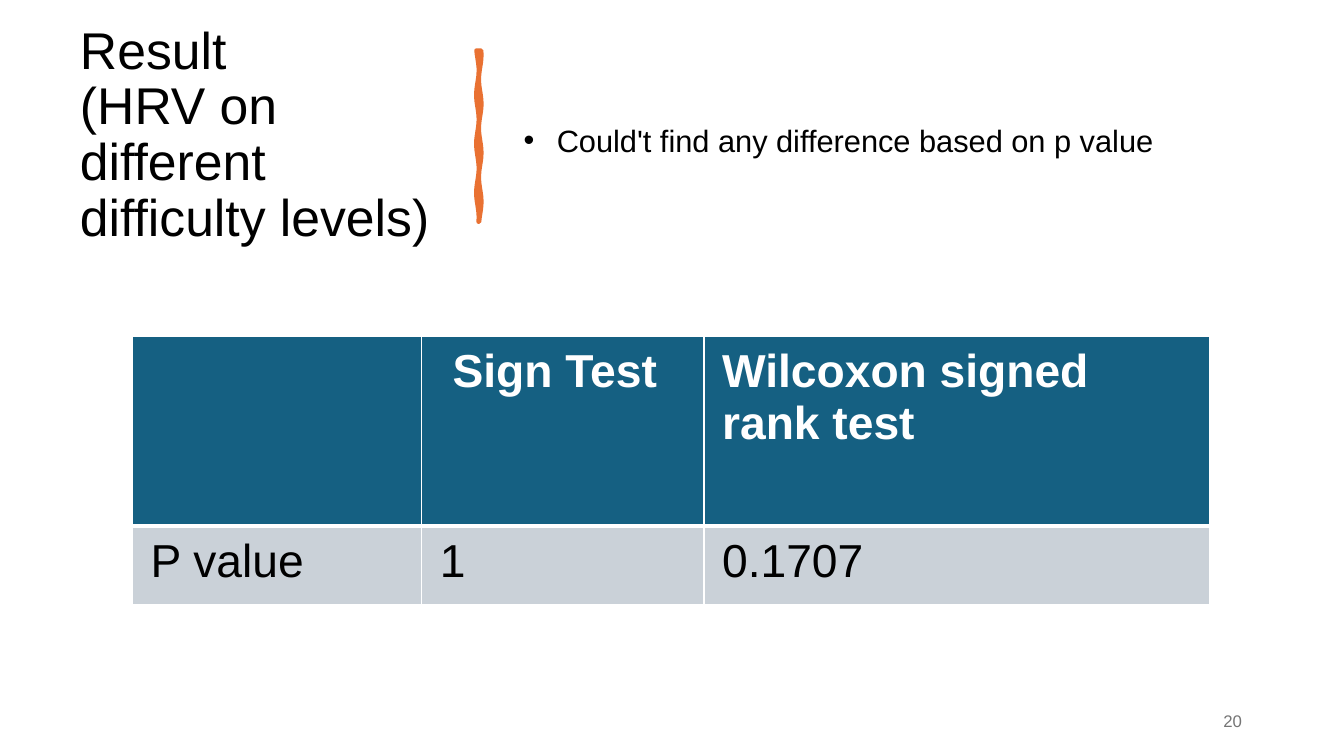
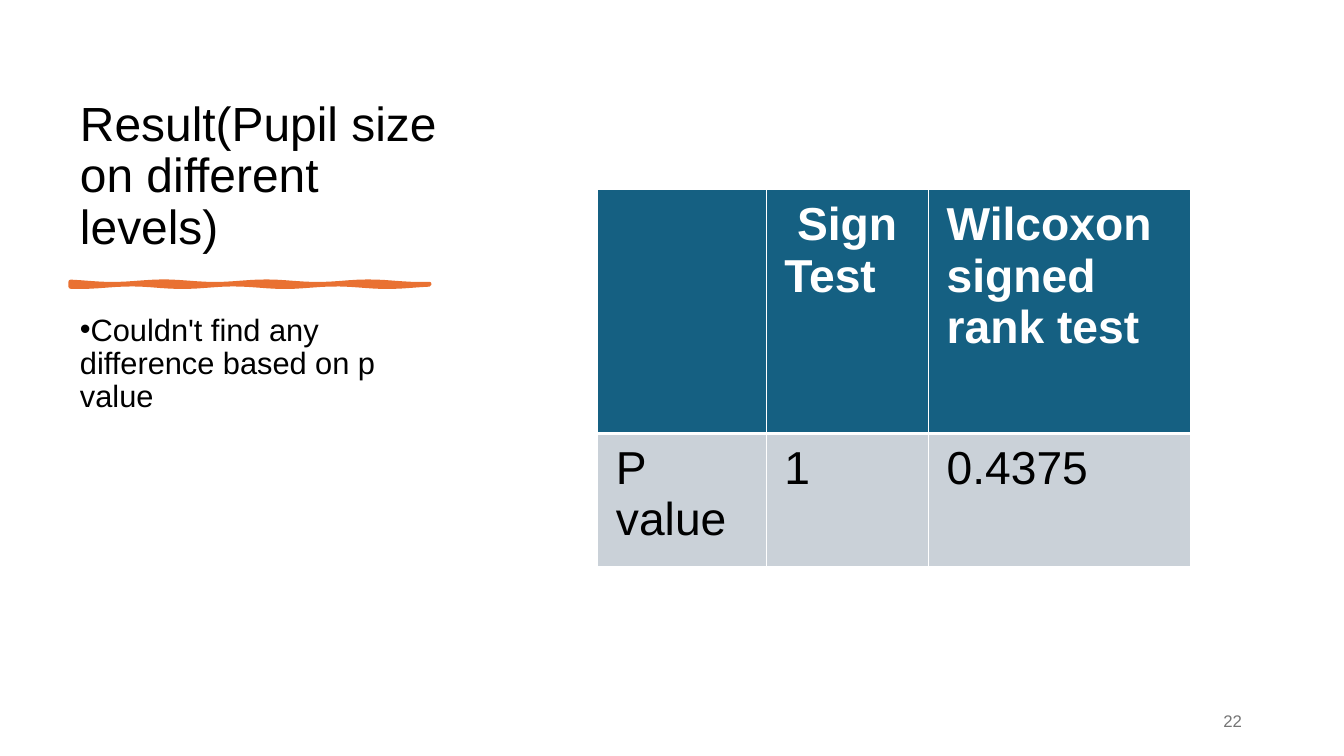
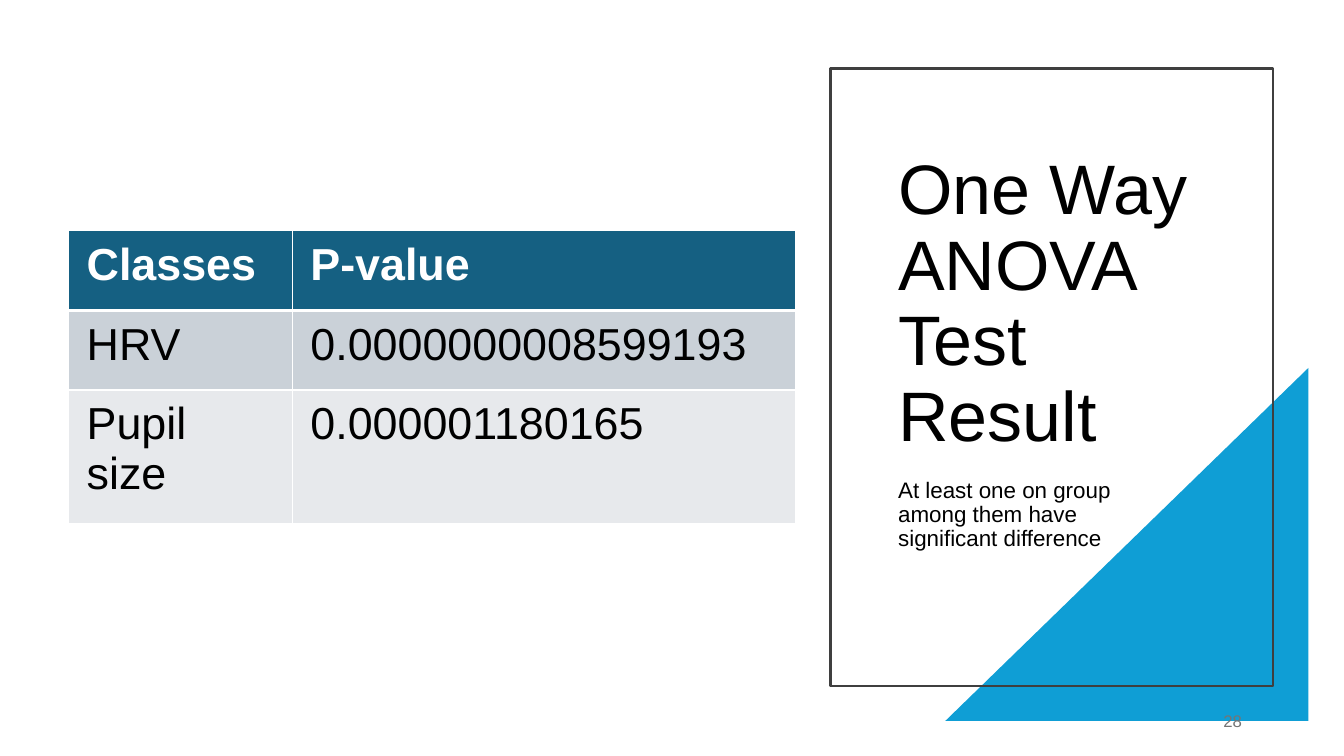
"""Build three result slides that compare statistical tests."""
from dataclasses import dataclass
from math import sin

from lxml.etree import SubElement
from pptx import Presentation
from pptx.dml.color import RGBColor
from pptx.enum.shapes import MSO_SHAPE as Shape
from pptx.enum.text import MSO_ANCHOR as Anchor, MSO_AUTO_SIZE as AutoSize, PP_ALIGN as Align
from pptx.oxml.ns import qn
from pptx.util import Inches, Pt

WIDTH, HEIGHT = Inches(13.33), Inches(7.5)


@dataclass(frozen=True)
class Theme:
    font: str = "Arial"
    ink: str = "000000"
    paper: str = "FFFFFF"
    muted: str = "757575"
    frame: str = "3F3F3F"
    accent: str = "E97132"
    corner: str = "0F9ED5"
    header: str = "156082"
    bands: tuple = ("CAD1D8", "E7E9EC")
    narrow_title: float = 36.9
    side_title: float = 34.2
    large_title: float = 50
    body: float = 22
    caption: float = 16
    table: float = 33
    small_table: float = 32
    number: float = 12


THEME = Theme()
NUMBER_BOX = (70.65, 92.67, 22.5, 5.33)
TEST_HEADER = ("", " Sign Test", "Wilcoxon signed rank test")


def col(count):
    """Return the width of a number of hundredths of the slide width."""
    return round(WIDTH * count / 100)


def row(count):
    """Return the height of a number of hundredths of the slide height."""
    return round(HEIGHT * count / 100)


def area(box):
    """Turn a box in grid units into left, top, width and height."""
    left, top, width, height = box
    return col(left), row(top), col(width), row(height)


def assign(target, values):
    """Set every named value on the target."""
    for name, value in values.items():
        setattr(target, name, value)


def paint(fill, color):
    """Make a fill solid in the given colour."""
    fill.solid()
    fill.fore_color.rgb = RGBColor.from_string(color)


def write(paragraph, lines, size, color=THEME.ink, bold=False):
    """Write lines of text into one paragraph, parted by line breaks."""
    for index, line in enumerate(lines):
        if index:
            paragraph.add_line_break()
        run = paragraph.add_run()
        run.text = line
        assign(run.font, {"name": THEME.font, "size": Pt(size), "bold": bold})
        run.font.color.rgb = RGBColor.from_string(color)


def set_bullet(paragraph, bullet, indent):
    """Give a paragraph a bullet with a hanging indent, or none."""
    properties = paragraph._p.get_or_add_pPr()
    properties.set("marL", str(indent))
    properties.set("indent", str(-indent))
    if bullet:
        SubElement(properties, qn("a:buFont")).set("typeface", THEME.font)
        SubElement(properties, qn("a:buChar")).set("char", bullet)
    else:
        SubElement(properties, qn("a:buNone"))


def format_frame(shape, anchor, align=Align.LEFT, spacing=0.9):
    """Set the frame of a text shape and return its first paragraph."""
    frame = shape.text_frame
    assign(frame, {"word_wrap": True, "auto_size": AutoSize.NONE, "vertical_anchor": anchor})
    paragraph = frame.paragraphs[0]
    assign(paragraph, {"alignment": align, "line_spacing": spacing, "space_before": Pt(0)})
    return paragraph


def move(shape, box):
    """Place a shape on the grid."""
    assign(shape, dict(zip(("left", "top", "width", "height"), area(box))))


def add_title(slide, box, lines, size, anchor=Anchor.BOTTOM):
    """Fill and place the title."""
    title = slide.shapes.title
    move(title, box)
    write(format_frame(title, anchor), lines, size)


def add_body(slide, box, text, size=THEME.body, anchor=Anchor.TOP, bullet="•", indent=0):
    """Fill and place the body placeholder."""
    body = slide.placeholders[1]
    move(body, box)
    paragraph = format_frame(body, anchor)
    set_bullet(paragraph, bullet, indent)
    write(paragraph, [text], size)


def add_number(slide, number):
    """Write the page number at the foot."""
    shape = slide.shapes.add_textbox(*area(NUMBER_BOX))
    paragraph = format_frame(shape, Anchor.MIDDLE, Align.RIGHT, 1.0)
    write(paragraph, [str(number)], THEME.number, THEME.muted)


def add_brush_line(slide, left, top, length, vertical=False, steps=40):
    """Draw an uneven brush stroke from a starting point."""
    def edge(index, side):
        along = round(length * index / steps)
        across = round(Pt(1) * side + Pt(0.9) * sin(index * 0.55 + side))
        return (left + across, top + along) if vertical else (left + along, top + across)

    points = [edge(index, -1) for index in range(steps + 1)]
    points += [edge(index, 1) for index in range(steps, -1, -1)]
    builder = slide.shapes.build_freeform(*points[0], scale=1.0)
    builder.add_line_segments(points[1:], close=True)
    stroke = builder.convert_to_shape()
    stroke.shadow.inherit = False
    paint(stroke.fill, THEME.accent)
    paint(stroke.line.fill, THEME.accent)
    stroke.line.width = Pt(3)


def add_corner(slide, box):
    """Draw the triangle in the lower right corner."""
    triangle = slide.shapes.add_shape(Shape.RIGHT_TRIANGLE, *area(box))
    triangle._element.spPr.get_or_add_xfrm().set("flipH", "1")
    triangle.shadow.inherit = False
    paint(triangle.fill, THEME.corner)
    triangle.line.fill.background()


def add_frame(slide, box):
    """Draw an unfilled outline."""
    frame = slide.shapes.add_shape(Shape.RECTANGLE, *area(box))
    frame.shadow.inherit = False
    frame.fill.background()
    paint(frame.line.fill, THEME.frame)
    frame.line.width = Pt(1.5)


def add_borders(cell, widths):
    """Draw the left, right, top and bottom borders of a cell."""
    properties = cell._tc.get_or_add_tcPr()
    for side, width in zip("LRTB", widths):
        line = SubElement(properties, qn(f"a:ln{side}"), w=str(Pt(width)))
        fill = SubElement(line, qn("a:solidFill"))
        SubElement(fill, qn("a:srgbClr"), val=THEME.paper)


def add_table(slide, corner, columns, rows, records, size=THEME.table):
    """Add a table with a dark header and banded rows."""
    box = (*corner, sum(columns), sum(rows))
    table = slide.shapes.add_table(len(rows), len(columns), *area(box)).table
    for column, width in zip(table.columns, columns):
        column.width = col(width)
    for index, (height, record) in enumerate(zip(rows, records)):
        table.rows[index].height = row(height)
        header = index == 0
        band = THEME.header if header else THEME.bands[(index - 1) % 2]
        top, bottom = 3 if index == 1 else 1, 3 if header else 1
        for cell, text in zip(table.rows[index].cells, record):
            assign(cell, {"margin_left": Inches(0.18), "margin_right": Inches(0.18),
                          "margin_top": Inches(0.09), "margin_bottom": Inches(0.09)})
            add_borders(cell, (1, 1, top, bottom))
            paint(cell.fill, band)
            if text:
                color = THEME.paper if header else THEME.ink
                write(cell.text_frame.paragraphs[0], [text], size, color, header)


def build_hrv(slide):
    """Fill the slide on heart rate variability."""
    add_title(slide, (5.2, 7.33, 28.05, 21.33),
              ["Result", "(HRV on different difficulty levels)"],
              THEME.narrow_title, Anchor.MIDDLE)
    add_brush_line(slide, col(35.63), row(6.67), row(22.67), vertical=True)
    add_body(slide, (38.2, 7.33, 56.55, 22.93), "Could't find any difference based on p value",
             anchor=Anchor.MIDDLE, indent=Inches(0.33))
    add_table(slide, (9.85, 44.53), (21.53, 21, 37.65), (25.07, 10.4),
              (TEST_HEADER, ("P value", "1", "0.1707")))


def build_pupil(slide):
    """Fill the slide on pupil size."""
    add_title(slide, (5.2, 9.33, 28.13, 25.07), ["Result(Pupil size on different levels)"],
              THEME.side_title)
    add_brush_line(slide, col(5.25), row(37.6), col(26.7))
    add_body(slide, (5.2, 40.93, 28.13, 49.73), "Couldn't find any difference based on p value")
    add_table(slide, (44.48, 25.07), (12.53, 12.08, 19.5), (32.27, 17.6),
              (TEST_HEADER, ("P value", "1", "0.4375")))


def build_anova(slide):
    """Fill the slide on the analysis of variance."""
    add_corner(slide, (70.35, 48.67, 27, 46.67))
    add_frame(slide, (61.8, 9.07, 32.93, 81.73))
    add_title(slide, (66.08, 15.47, 26.25, 45.6), ["One Way ANOVA Test Result"],
              THEME.large_title)
    add_body(slide, (66.08, 62.67, 22.2, 11.07),
             "At least one on group among them have significant difference",
             THEME.caption, bullet=None)
    add_table(slide, (5.1, 30.53), (16.65, 37.43), (10.53, 10.53, 17.73),
              (("Classes", "P-value"), ("HRV", "0.0000000008599193"),
               ("Pupil size", "0.000001180165")), THEME.small_table)


def main():
    """Build and save the presentation."""
    presentation = Presentation()
    assign(presentation, {"slide_width": WIDTH, "slide_height": HEIGHT})
    for build, number in ((build_hrv, 20), (build_pupil, 22), (build_anova, 28)):
        slide = presentation.slides.add_slide(presentation.slide_layouts[1])
        build(slide)
        add_number(slide, number)
    presentation.save("out.pptx")


if __name__ == "__main__":
    main()
